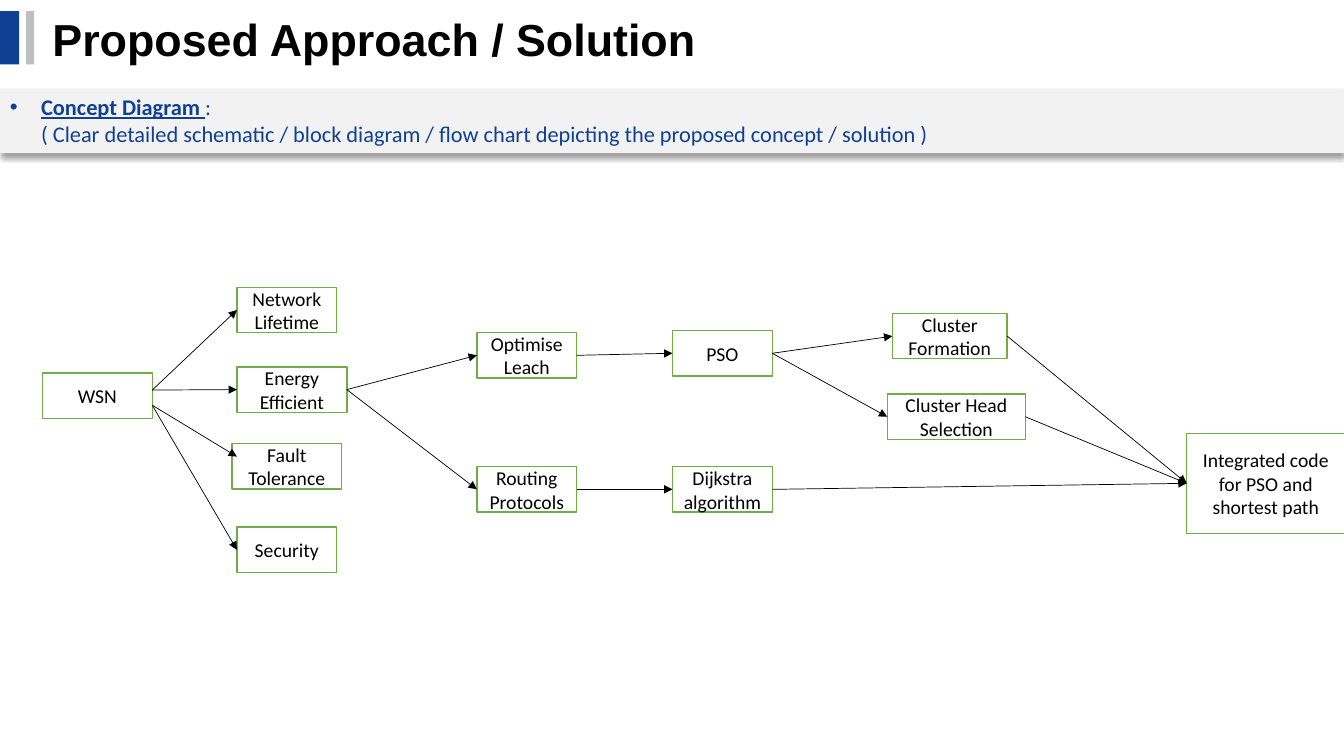
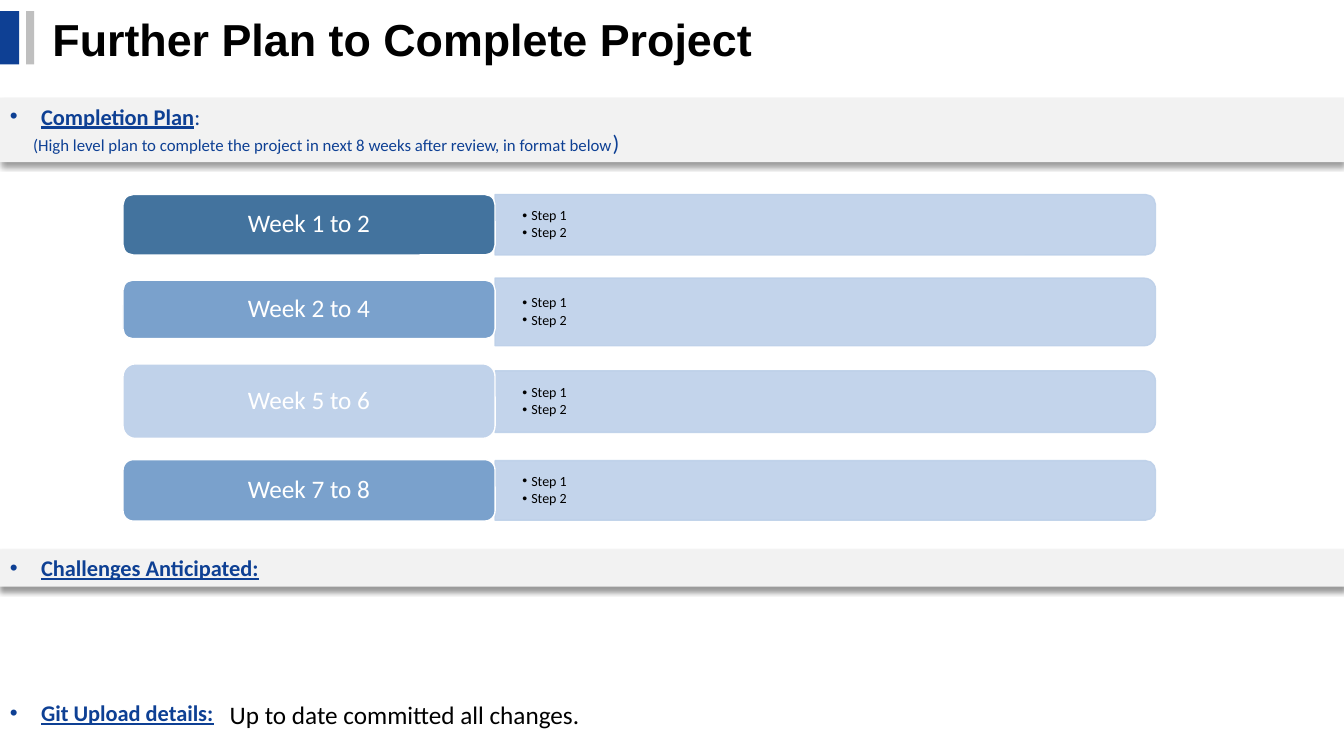
from lxml.etree import SubElement
from pptx import Presentation
from pptx.dml.color import RGBColor
from pptx.enum.shapes import MSO_CONNECTOR, MSO_SHAPE
from pptx.enum.text import MSO_ANCHOR, MSO_AUTO_SIZE, PP_ALIGN
from pptx.oxml.ns import qn
from pptx.util import Inches, Pt

NAVY = RGBColor(0x0E, 0x40, 0x94)
SILVER = RGBColor(0xBF, 0xBF, 0xBF)
BAND_GRAY = RGBColor(0xF2, 0xF2, 0xF2)
BOX_GREEN = RGBColor(0x70, 0xAD, 0x47)
PANEL_BLUE = RGBColor(0xBD, 0xD0, 0xE9)
DEEP_BLUE = RGBColor(0x43, 0x73, 0x9E)
MID_BLUE = RGBColor(0x7A, 0xA1, 0xCC)
PALE_BLUE = RGBColor(0xC0, 0xD2, 0xEA)
BLACK = RGBColor(0, 0, 0)
WHITE = RGBColor(0xFF, 0xFF, 0xFF)

SLIDE_WIDTH = 13.33
BODY_FONT = "Calibri"
BULLET_INDENT = 0.31
LEFT_SIDE, RIGHT_SIDE = 1, 3

# Block name: (text, left, top, width, height)
BLOCKS = {
    "wsn": ("WSN", 0.42, 3.7, 1.09, 0.45),
    "lifetime": ("Network\nLifetime", 2.35, 2.85, 0.99, 0.45),
    "energy": ("Energy Efficient", 2.35, 3.64, 1.09, 0.45),
    "fault": ("Fault Tolerance", 2.3, 4.4, 1.09, 0.45),
    "security": ("Security", 2.35, 5.23, 0.99, 0.45),
    "leach": ("Optimise Leach", 4.73, 3.3, 0.99, 0.45),
    "routing": ("Routing Protocols", 4.73, 4.63, 0.99, 0.45),
    "pso": ("PSO", 6.67, 3.28, 0.99, 0.45),
    "dijkstra": ("Dijkstra algorithm", 6.67, 4.63, 0.99, 0.45),
    "formation": ("Cluster Formation", 8.85, 3.11, 1.14, 0.45),
    "head": ("Cluster Head Selection", 8.8, 3.91, 1.37, 0.45),
    "integrated": ("Integrated code for PSO and shortest path", 11.77, 4.3, 1.57, 0.99),
}
FLOWS = [
    ("energy", "leach"), ("energy", "routing"),
    ("leach", "pso"), ("routing", "dijkstra"),
    ("pso", "formation"), ("pso", "head"),
    ("dijkstra", "integrated"), ("head", "integrated"), ("formation", "integrated"),
]
# Target, height at which the arrow leaves the WSN block
WSN_FLOWS = [("lifetime", 3.87), ("energy", 3.87), ("fault", 4.02), ("security", 4.02)]
FAULT_ENTRY = (2.35, 4.53)

# Label, label colour, label top and height, panel top and height
WEEKS = [
    ("Week 1 to 2", DEEP_BLUE, 1.93, 0.6, 1.93, 0.6),
    ("Week 2 to 4", MID_BLUE, 2.78, 0.58, 2.76, 0.67),
    ("Week 5 to 6", PALE_BLUE, 3.61, 0.74, 3.68, 0.61),
    ("Week 7 to 8", MID_BLUE, 4.56, 0.61, 4.57, 0.59),
]
STEPS = ["Step 1", "Step 2"]
LABEL_LEFT, LABEL_WIDTH = 1.22, 3.69
PANEL_LEFT, PANEL_WIDTH = 4.91, 6.55


def style_font(font, size, color, name=BODY_FONT, bold=False):
    font.name, font.size, font.bold = name, Pt(size), bold
    font.color.rgb = color


def add_box(slide, kind, left, top, width, height, fill, line=None):
    box = slide.shapes.add_shape(
        kind, Inches(left), Inches(top), Inches(width), Inches(height))
    box.shadow.inherit = False
    box.fill.solid()
    box.fill.fore_color.rgb = fill
    if line is None:
        box.line.fill.background()
    else:
        box.line.color.rgb = line
        box.line.width = Pt(1)
    return box


def add_textbox(slide, left, top, width, height):
    frame = slide.shapes.add_textbox(
        Inches(left), Inches(top), Inches(width), Inches(height)).text_frame
    frame.word_wrap = True
    return frame


def indent(paragraph, left, bullet=False):
    """Indent a paragraph, hanging a bullet in the indent if asked."""
    properties = paragraph._p.get_or_add_pPr()
    properties.set("marL", str(Inches(left)))
    properties.set("indent", str(-Inches(left) if bullet else 0))
    if bullet:
        SubElement(properties, qn("a:buFont"), typeface="Arial")
        SubElement(properties, qn("a:buChar"), char="•")


def set_alpha(fill_parent, percent):
    color = fill_parent.find(qn("a:solidFill"))[0]
    SubElement(color, qn("a:alpha"), val=str(percent * 1000))


def add_heading(frame, heading, suffix=""):
    """Write a bulleted, underlined heading in the first paragraph."""
    paragraph = frame.paragraphs[0]
    paragraph.alignment = PP_ALIGN.JUSTIFY
    indent(paragraph, BULLET_INDENT, bullet=True)
    style_font(paragraph.font, 16, NAVY)
    title = paragraph.add_run()
    title.text = heading
    style_font(title.font, 16, NAVY, bold=True)
    title.font.underline = True
    if suffix:
        tail = paragraph.add_run()
        tail.text = suffix
        style_font(tail.font, 16, NAVY)


def add_note(frame, left, *parts):
    """Add a line under a heading from (text, size) parts."""
    paragraph = frame.add_paragraph()
    paragraph.alignment = PP_ALIGN.JUSTIFY
    indent(paragraph, left)
    for text, size in parts:
        run = paragraph.add_run()
        run.text = text
        style_font(run.font, size, NAVY)


def add_band(slide, top, height):
    band = add_box(slide, MSO_SHAPE.RECTANGLE, 0, top, SLIDE_WIDTH, height, BAND_GRAY)
    effects = band._element.spPr.find(qn("a:effectLst"))
    shadow = SubElement(effects, qn("a:outerShdw"), blurRad=str(Pt(4)), dist=str(Pt(3)),
                        dir="5400000", algn="t", rotWithShape="0")
    color = SubElement(shadow, qn("a:srgbClr"), val="000000")
    SubElement(color, qn("a:alpha"), val="40000")
    band.text_frame.vertical_anchor = MSO_ANCHOR.TOP
    return band.text_frame


def add_titled_slide(deck, heading):
    slide = deck.slides.add_slide(deck.slide_layouts[5])
    title = slide.shapes.title
    title.left, title.top = Inches(0.42), Inches(0.06)
    title.width, title.height = Inches(10.28), Inches(0.64)
    frame = title.text_frame
    frame.text = heading
    frame.auto_size = MSO_AUTO_SIZE.NONE
    frame.vertical_anchor = MSO_ANCHOR.MIDDLE
    frame.paragraphs[0].alignment = PP_ALIGN.LEFT
    style_font(frame.paragraphs[0].font, 32, BLACK, "Arial", bold=True)
    for left, width, color in [(0, 0.19, NAVY), (0.26, 0.08, SILVER)]:
        add_box(slide, MSO_SHAPE.RECTANGLE, left, 0.11, width, 0.53, color)
    return slide


def add_block(slide, text, left, top, width, height):
    block = add_box(slide, MSO_SHAPE.RECTANGLE, left, top, width, height, WHITE, BOX_GREEN)
    block.text_frame.text = text
    for paragraph in block.text_frame.paragraphs:
        paragraph.alignment = PP_ALIGN.CENTER
        style_font(paragraph.font, 14, BLACK)
    return block


def add_arrow(slide, source=None, target=None, start=(0, 0), end=(0, 0)):
    """Draw an arrow, joined to the given blocks or else set at start and end."""
    arrow = slide.shapes.add_connector(
        MSO_CONNECTOR.STRAIGHT, *[Inches(value) for value in (*start, *end)])
    if source is not None:
        arrow.begin_connect(source, RIGHT_SIDE)
    if target is not None:
        arrow.end_connect(target, LEFT_SIDE)
    arrow.line.color.rgb = BLACK
    arrow.line.width = Pt(0.5)
    SubElement(arrow.line._get_or_add_ln(), qn("a:tailEnd"), type="triangle")
    SubElement(arrow._element.spPr, qn("a:effectLst"))


def add_week(slide, label, color, label_top, label_height, panel_top, panel_height):
    # The panel stands upright and is turned so that its round end faces right.
    panel = add_box(
        slide, MSO_SHAPE.ROUND_2_SAME_RECTANGLE,
        PANEL_LEFT + (PANEL_WIDTH - panel_height) / 2,
        panel_top + (panel_height - PANEL_WIDTH) / 2,
        panel_height, PANEL_WIDTH, PANEL_BLUE, PANEL_BLUE)
    panel.rotation = 90
    set_alpha(panel._element.spPr, 90)
    set_alpha(panel.line._get_or_add_ln(), 90)

    steps = add_textbox(slide, PANEL_LEFT, panel_top, PANEL_WIDTH, panel_height)
    steps.vertical_anchor = MSO_ANCHOR.MIDDLE
    steps.margin_left = steps.margin_right = Inches(0.27)
    steps.text = "\n".join(STEPS)
    for paragraph in steps.paragraphs:
        paragraph.line_spacing = 0.9
        paragraph.space_after = Pt(1.5)
        indent(paragraph, 0.09, bullet=True)
        style_font(paragraph.font, 10, BLACK)

    pill = add_box(slide, MSO_SHAPE.ROUNDED_RECTANGLE, LABEL_LEFT, label_top,
                   LABEL_WIDTH, label_height, color, WHITE)
    pill.text_frame.text = label
    paragraph = pill.text_frame.paragraphs[0]
    paragraph.alignment = PP_ALIGN.CENTER
    paragraph.line_spacing = 0.9
    style_font(paragraph.font, 18, WHITE)


def build_approach(deck):
    slide = add_titled_slide(deck, "Proposed Approach / Solution")
    concept = add_band(slide, 0.88, 0.64)
    add_heading(concept, "Concept Diagram ", ":")
    add_note(concept, BULLET_INDENT, (
        "( Clear detailed schematic / block diagram / flow chart depicting "
        "the proposed concept / solution )", 16))

    blocks = {name: add_block(slide, *block) for name, block in BLOCKS.items()}
    _, left, _, width, _ = BLOCKS["wsn"]
    for target, exit_height in WSN_FLOWS:
        joined = None if target == "fault" else blocks[target]
        add_arrow(slide, target=joined, start=(left + width, exit_height), end=FAULT_ENTRY)
    for source, target in FLOWS:
        add_arrow(slide, blocks[source], blocks[target])


def build_plan(deck):
    slide = add_titled_slide(deck, "Further Plan to Complete Project")
    completion = add_band(slide, 0.97, 0.64)
    add_heading(completion, "Completion Plan", ":")
    add_note(completion, 0.23, (
        "(High level plan to complete the project in next 8 weeks after review, "
        "in format below", 12), (")", 16))

    for week in WEEKS:
        add_week(slide, *week)

    add_heading(add_band(slide, 5.45, 0.37), "Challenges Anticipated:")
    add_heading(add_textbox(slide, 0, 6.89, 6.67, 0.57), "Git Upload details:")
    status = add_textbox(slide, 2.18, 6.89, 4.48, 0.4)
    status.text = "Up to date committed all changes."
    style_font(status.paragraphs[0].font, 18, BLACK)


def main():
    deck = Presentation()
    deck.slide_width, deck.slide_height = Inches(SLIDE_WIDTH), Inches(7.5)
    build_approach(deck)
    build_plan(deck)
    deck.save("out.pptx")


if __name__ == "__main__":
    main()
